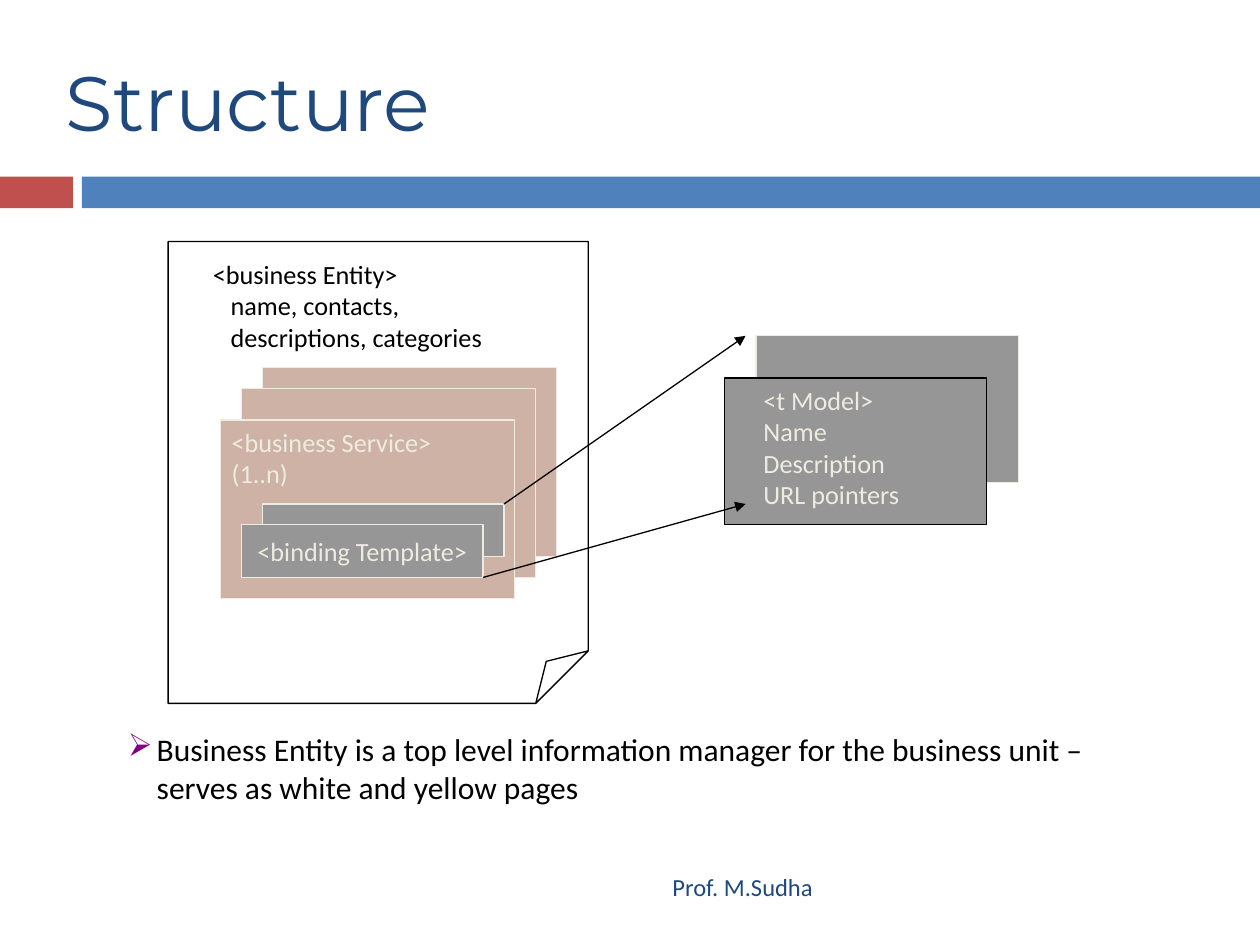
from dataclasses import dataclass

from lxml import etree
from pptx import Presentation
from pptx.dml.color import RGBColor
from pptx.enum.shapes import MSO_CONNECTOR, MSO_SHAPE
from pptx.enum.text import MSO_ANCHOR, MSO_AUTO_SIZE, PP_ALIGN
from pptx.oxml.ns import qn
from pptx.util import Cm, Pt

RECT, FOLDED = MSO_SHAPE.RECTANGLE, MSO_SHAPE.FOLDED_CORNER
STRAIGHT = MSO_CONNECTOR.STRAIGHT
LEFT, CENTER, RIGHT = PP_ALIGN.LEFT, PP_ALIGN.CENTER, PP_ALIGN.RIGHT
TOP, MIDDLE = MSO_ANCHOR.TOP, MSO_ANCHOR.MIDDLE
NO_FIT, FIT_SHAPE = MSO_AUTO_SIZE.NONE, MSO_AUTO_SIZE.SHAPE_TO_FIT_TEXT


@dataclass(frozen=True)
class Theme:
    heading_font: str = "Montserrat"
    body_font: str = "Calibri"
    title_size: float = 44
    body_size: float = 18
    label_size: float = 15
    footer_size: float = 14
    line_width: float = 0.75
    navy: str = "1F497D"
    red: str = "C0504D"
    blue: str = "4F81BD"
    rose: str = "CDB2A5"
    grey: str = "969696"
    cream: str = "EEECE1"
    black: str = "000000"
    purple: str = "800080"


def write_text(frame, text, *, font, size, color, align=LEFT, anchor=TOP,
               wrap=True, fit=NO_FIT, indents=()):
    """Fill a frame, one paragraph a line; indents are left margins in cm."""
    frame.text = text
    frame.word_wrap = wrap
    frame.auto_size = fit
    frame.vertical_anchor = anchor
    for paragraph in frame.paragraphs:
        paragraph.alignment = align
        paragraph.font.name = font
        paragraph.font.size = Pt(size)
        paragraph.font.color.rgb = RGBColor.from_string(color)
    for paragraph, indent in zip(frame.paragraphs, indents):
        paragraph._p.get_or_add_pPr().set("marL", str(Cm(indent)))


class SlideBuilder:
    def __init__(self, slide, theme):
        self.slide = slide
        self.theme = theme

    def title(self, text, box):
        heading = self.slide.shapes.title
        heading.left, heading.top, heading.width, heading.height = map(Cm, box)
        write_text(heading.text_frame, text, font=self.theme.heading_font,
                   size=self.theme.title_size, color=self.theme.navy, anchor=MIDDLE)

    def shape(self, box, fill=None, line=None, preset=RECT):
        shape = self.slide.shapes.add_shape(preset, *map(Cm, box))
        shape.shadow.inherit = False
        if fill:
            shape.fill.solid()
            shape.fill.fore_color.rgb = RGBColor.from_string(fill)
        else:
            shape.fill.background()
        if line:
            shape.line.color.rgb = RGBColor.from_string(line)
            shape.line.width = Pt(self.theme.line_width)
        else:
            shape.line.fill.background()
        return shape

    def folded_page(self, box, line, fold):
        sheet = self.shape(box, line=line, preset=FOLDED)
        guides = sheet._element.spPr.find(qn("a:prstGeom")).find(qn("a:avLst"))
        guides.clear()
        etree.SubElement(guides, qn("a:gd"), name="adj", fmla=f"val {round(fold * 100000)}")

    def text(self, text, box, **style):
        frame = self.slide.shapes.add_textbox(*map(Cm, box)).text_frame
        write_text(frame, text, font=self.theme.body_font, **style)
        return frame

    def label(self, text, box, color, indents=()):
        self.text(text, box, size=self.theme.label_size, color=color,
                  wrap=False, fit=FIT_SHAPE, indents=indents)

    def bullet(self, text, box, hanging):
        frame = self.text(text, box, size=self.theme.body_size,
                          color=self.theme.black, fit=FIT_SHAPE, indents=(hanging,))
        paragraph = frame.paragraphs[0]
        paragraph.space_before = Pt(11.2)
        props = paragraph._p.get_or_add_pPr()
        props.set("indent", str(-Cm(hanging)))
        bullet_color = etree.Element(qn("a:buClr"))
        etree.SubElement(bullet_color, qn("a:srgbClr"), val=self.theme.purple)
        bullet_char = etree.Element(qn("a:buChar"), char="➢")
        # Bullet settings stand between the spacing and the default run format
        props.find(qn("a:spcBef")).addnext(bullet_color)
        bullet_color.addnext(bullet_char)

    def arrow(self, start, end):
        arrow = self.slide.shapes.add_connector(STRAIGHT, *map(Cm, start + end))
        arrow.line.color.rgb = RGBColor.from_string(self.theme.black)
        arrow.line.width = Pt(self.theme.line_width)
        outline = arrow._element.spPr.find(qn("a:ln"))
        etree.SubElement(outline, qn("a:tailEnd"), type="triangle")
        etree.SubElement(arrow._element.spPr, qn("a:effectLst"))


def main():
    theme = Theme()
    deck = Presentation()
    deck.slide_width, deck.slide_height = Cm(25.4), Cm(19.05)
    page = SlideBuilder(deck.slides.add_slide(deck.slide_layouts[5]), theme)

    # Heading and colour band
    page.title("Structure", (1.07, 0.43, 21.59, 3.18))
    page.shape((0, 3.56, 1.47, 0.64), theme.red)
    page.shape((1.65, 3.56, 23.75, 0.64), theme.blue)

    # Business entity page
    page.folded_page((3.39, 4.87, 8.47, 9.31), theme.black, fold=0.125)
    page.label("<business Entity>\nname, contacts,\ndescriptions, categories",
               (4.04, 5.08, 6.83, 2.16), theme.black, indents=(0, 0.36, 0.36))

    # Stack of business services
    for left, top, height in ((5.29, 7.41, 3.81), (4.87, 7.83, 3.81), (4.45, 8.47, 3.6)):
        page.shape((left, top, 5.93, height), theme.rose, theme.cream)
    page.label("<business Service>\n(1..n)", (4.42, 8.46, 5.33, 1.52), theme.cream)

    # Binding templates
    page.shape((5.29, 10.16, 4.87, 1.06), theme.grey, theme.cream)
    binding = page.shape((4.87, 10.58, 4.87, 1.06), theme.grey, theme.cream)
    write_text(binding.text_frame, "<binding Template>", font=theme.body_font,
               size=theme.label_size, color=theme.cream, align=CENTER,
               anchor=MIDDLE, wrap=False)

    # Technical models, with arrows from the binding templates
    page.shape((15.24, 6.77, 5.29, 2.96), theme.grey, theme.cream)
    page.shape((14.6, 7.62, 5.29, 2.96), theme.grey, theme.black)
    page.arrow((10.16, 10.16), (15.03, 6.77))
    page.arrow((9.74, 11.64), (15.03, 10.16))
    page.label("<t Model>\nName\nDescription\nURL pointers",
               (15.14, 7.62, 3.71, 2.79), theme.cream)

    # Explanation and footer
    page.bullet("Business Entity is a top level information manager for the "
                "business unit – serves as white and yellow pages",
                (2.33, 14.6, 21.17, 1.78), hanging=0.58)
    page.text("Prof. M.Sudha ", (1.69, 17.36, 15.06, 1.02), size=theme.footer_size,
              color=theme.navy, align=RIGHT, anchor=MIDDLE)

    deck.save("out.pptx")


if __name__ == "__main__":
    main()
